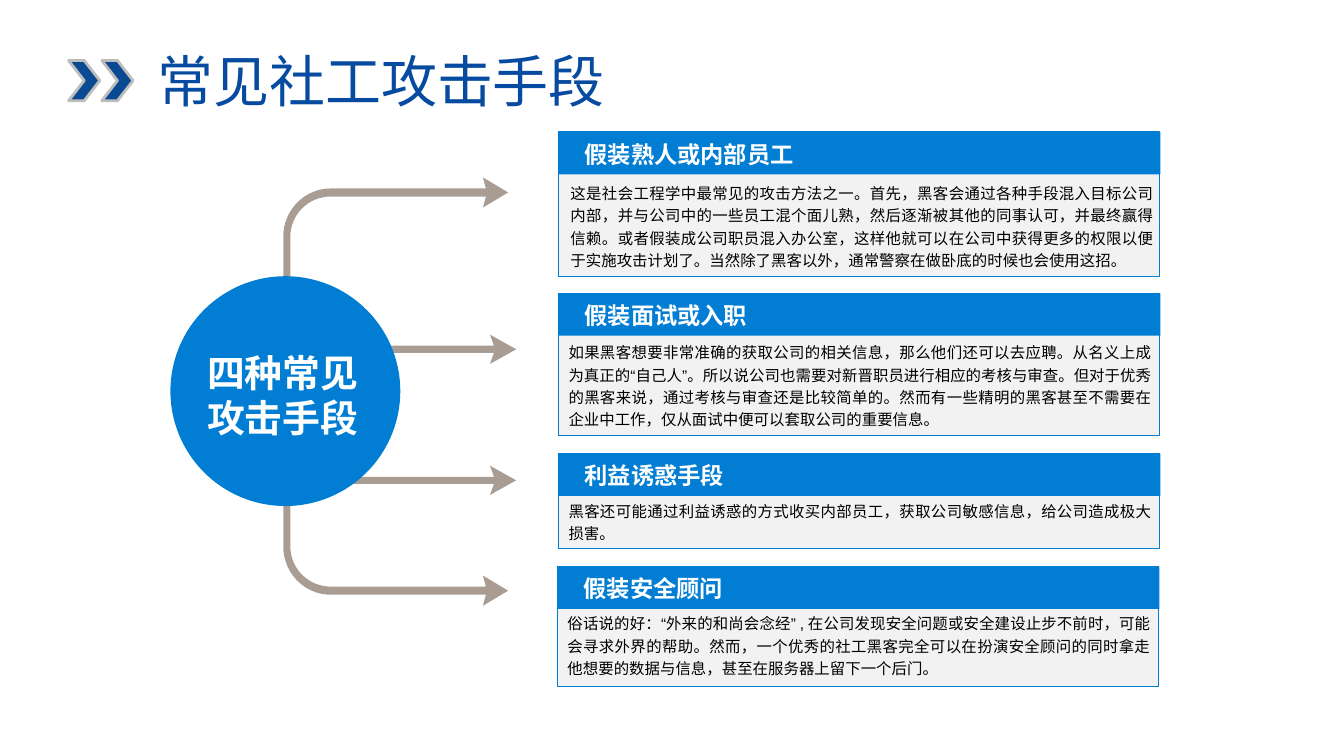
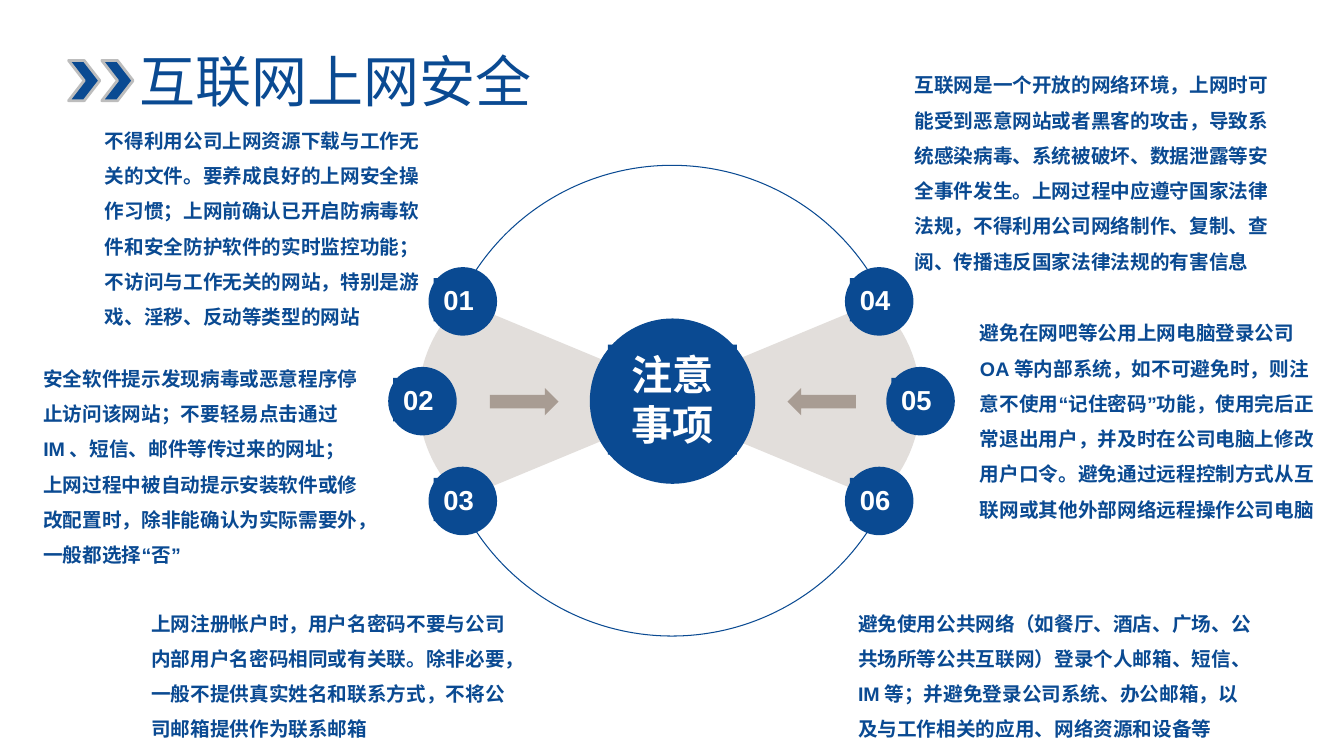
from math import asin, cos, pi, sin

from lxml import etree
from pptx import Presentation
from pptx.dml.color import RGBColor
from pptx.enum.lang import MSO_LANGUAGE_ID as LANG
from pptx.enum.shapes import MSO_SHAPE as SHAPE
from pptx.enum.text import MSO_ANCHOR as ANCHOR, PP_ALIGN as ALIGN
from pptx.oxml.ns import qn
from pptx.util import Inches, Pt

WHITE = RGBColor(0xFF, 0xFF, 0xFF)
BLACK = RGBColor(0, 0, 0)
NAVY = RGBColor(0x0A, 0x4A, 0x92)
TITLE_BLUE = RGBColor(0x07, 0x4B, 0xA0)
BLUE = RGBColor(0x01, 0x7E, 0xD3)
PALE = RGBColor(0xF2, 0xF2, 0xF2)
TAUPE = RGBColor(0xA8, 0x9C, 0x93)
SAND = RGBColor(0xE2, 0xDE, 0xDB)
SILVER = RGBColor(0xBD, 0xBD, 0xBD)
FONT = "Arial"


def draw(s, form, at=None, fill=None, line=None, width=0.75):
    """Add a preset shape at a box, or an outline from a list of points."""
    if isinstance(form, list):
        points = [(Inches(x), Inches(y)) for x, y in form]
        builder = s.shapes.build_freeform(*points[0])
        builder.add_line_segments(points[1:], close=True)
        sp = builder.convert_to_shape()
    else:
        sp = s.shapes.add_shape(form, *map(Inches, at))
    sp.shadow.inherit = False
    for part, color in ((sp.fill, fill), (sp.line.fill, line)):
        if color is None:
            part.background()
        else:
            part.solid()
            part.fore_color.rgb = color
    if line is not None:
        sp.line.width = Pt(width)


def write(s, at, text, size, color, bold=False, fill=None, margin=None, frame=None, para=None):
    """Add a text box; frame and para are dicts of format values."""
    sp = s.shapes.add_textbox(*map(Inches, at))
    if fill is not None:
        sp.fill.solid()
        sp.fill.fore_color.rgb = fill
    tf = sp.text_frame
    frame = {"word_wrap": True, **(frame or {})}
    if margin is not None:
        for side in ("left", "top", "right", "bottom"):
            frame["margin_" + side] = Inches(margin)
    p = tf.paragraphs[0]
    r = p.add_run()
    r.text = text
    font = {"name": FONT, "size": Pt(size), "bold": bold, "language_id": LANG.SIMPLIFIED_CHINESE}
    for target, values in ((tf, frame), (p, para or {}), (r.font, font)):
        for name, value in values.items():
            setattr(target, name, value)
    r.font.color.rgb = color
    etree.SubElement(r.font._element, qn("a:ea"), typeface=FONT)


prs = Presentation()
prs.slide_width, prs.slide_height = Inches(13.33), Inches(7.5)
CENTER = {"alignment": ALIGN.CENTER}

# Shared background, title and double chevron
slides = []
for title, left, width, color in (
    ("常见社工攻击手段", 1.01, 5.54, TITLE_BLUE),
    ("互联网上网安全", 0.31, 6.03, NAVY),
):
    s = prs.slides.add_slide(prs.slide_layouts[6])
    s.background.fill.solid()
    s.background.fill.fore_color.rgb = WHITE
    write(s, (left, 0.37, width, 0.84), title, 40, color,
          frame={"vertical_anchor": ANCHOR.MIDDLE}, para=CENTER)
    for x in (0.68, 1.01):
        draw(s, SHAPE.CHEVRON, (x, 0.6, 0.31, 0.4), NAVY, SILVER, 2)
    slides.append(s)
attacks, advice = slides

# Slide 1: bent arrows, mirrored above and below the hub
STEPS = 16
HUB_Y = 3.885
turn = [pi / 2 * i / STEPS for i in range(STEPS + 1)]
outer = [(3.28 - 0.47 * cos(a), 2.35 - 0.48 * sin(a)) for a in turn]
inner = [(3.28 - 0.4 * cos(a), 2.35 - 0.4 * sin(a)) for a in reversed(turn)]
head = [(4.82, 1.87), (4.79, 1.76), (5.04, 1.91), (4.79, 2.06), (4.82, 1.95)]
bent = [(2.81, 3.57)] + outer + head + inner + [(2.88, 3.57)]
draw(attacks, bent, fill=TAUPE)
draw(attacks, [(x, 2 * HUB_Y - y) for x, y in bent], fill=TAUPE)

# Straight arrows
for y in (3.465, 4.765):
    draw(attacks, [(2.88, y - 0.035), (4.9, y - 0.035), (4.86, y - 0.145), (5.12, y),
                   (4.86, y + 0.145), (4.9, y + 0.035), (2.88, y + 0.035)], fill=TAUPE)

# Hub
draw(attacks, SHAPE.OVAL, (1.69, 2.74, 2.28, 2.28), BLUE)
write(attacks, (1.94, 3.42, 1.73, 1.01), "四种常见攻击手段", 27, WHITE, True, BLUE, para=CENTER)

# Cards: left, top, height, body left, body top, heading, body
cards = (
    (5.54, 1.31, 1.43, 5.56, 1.74, "假装熟人或内部员工",
     "这是社会工程学中最常见的攻击方法之一。首先，黑客会通过各种手段混入目标公司内部，"
     "并与公司中的一些员工混个面儿熟，然后逐渐被其他的同事认可，并最终赢得信赖。"
     "或者假装成公司职员混入办公室，这样他就可以在公司中获得更多的权限以便于实施攻击计划了。"
     "当然除了黑客以外，通常警察在做卧底的时候也会使用这招。"),
    (5.54, 2.91, 1.41, 5.54, 3.32, "假装面试或入职",
     "如果黑客想要非常准确的获取公司的相关信息，那么他们还可以去应聘。"
     "从名义上成为真正的“自己人”。所以说公司也需要对新晋职员进行相应的考核与审查。"
     "但对于优秀的黑客来说，通过考核与审查还是比较简单的。"
     "然而有一些精明的黑客甚至不需要在企业中工作，仅从面试中便可以套取公司的重要信息。"),
    (5.54, 4.5, 0.94, 5.54, 4.89, "利益诱惑手段",
     "黑客还可能通过利益诱惑的方式收买内部员工，获取公司敏感信息，给公司造成极大损害。"),
    (5.53, 5.62, 1.19, 5.53, 6.01, "假装安全顾问",
     "俗话说的好：“外来的和尚会念经”,在公司发现安全问题或安全建设止步不前时，"
     "可能会寻求外界的帮助。然而，一个优秀的社工黑客完全可以在扮演安全顾问的同时"
     "拿走他想要的数据与信息，甚至在服务器上留下一个后门。"),
)
for x, y, h, body_x, body_y, heading, body in cards:
    draw(attacks, SHAPE.RECTANGLE, (x, y, 5.96, h), PALE, BLUE)
    draw(attacks, SHAPE.RECTANGLE, (x, y, 5.97, 0.42), BLUE)
    write(attacks, (x + 0.16, y + 0.03, 4.59, 0.38), heading, 16.6, WHITE, True)
    write(attacks, (body_x, body_y, 5.98, y + h - body_y), body, 11, BLACK,
          para={"alignment": ALIGN.JUSTIFY, "line_spacing": Pt(15.9)})

# Slide 2: ring with two mirrored fans
draw(advice, SHAPE.OVAL, (4.33, 1.64, 4.67, 4.67), line=NAVY)
RADIUS, FAN_X, FAN_Y = 1.33, 7.8, 3.97
half = asin(0.98 / RADIUS)
sweep = [half * (i / STEPS - 1) for i in range(2 * STEPS + 1)]
fan = [(6.34, FAN_Y)] + [(FAN_X + RADIUS * cos(a), FAN_Y + RADIUS * sin(a)) for a in sweep]
draw(advice, fan, fill=SAND)
draw(advice, [(13.28 - x, y) for x, y in fan], fill=SAND)

# Hub and arrows pointing to it
draw(advice, SHAPE.OVAL, (5.85, 3.16, 1.64, 1.64), NAVY)
write(advice, (6.03, 3.42, 1.28, 1.09), "注意事项", 29.4, WHITE, True, NAVY, para=CENTER)
draw(advice, SHAPE.RIGHT_ARROW, (4.86, 3.85, 0.68, 0.27), TAUPE)
draw(advice, SHAPE.LEFT_ARROW, (7.81, 3.85, 0.68, 0.27), TAUPE)

# Numbered discs, three on each side
for i, x in enumerate((4.25, 3.85, 4.25, 8.38, 8.79, 8.38)):
    y = 2.65 + 0.99 * (i % 3)
    draw(advice, SHAPE.OVAL, (x, y, 0.68, 0.68), NAVY)
    write(advice, (x + 0.05, y + 0.11, 0.51, 0.43), f"{i + 1:02}", 19.6, WHITE, True, NAVY,
          frame={"word_wrap": False})

# Advice texts: left, top, width, height, text
notes = (
    (1.04, 1.16, 3.21, 2.08,
     "不得利用公司上网资源下载与工作无关的文件。要养成良好的上网安全操作习惯；"
     "上网前确认已开启防病毒软件和安全防护软件的实时监控功能；"
     "不访问与工作无关的网站，特别是游戏、淫秽、反动等类型的网站"),
    (0.43, 3.52, 3.16, 2.08,
     "安全软件提示发现病毒或恶意程序停止访问该网站；不要轻易点击通过IM、短信、邮件等传过来的网址；"
     "上网过程中被自动提示安装软件或修改配置时，除非能确认为实际需要外，一般都选择“否”"),
    (1.5, 5.95, 3.7, 1.41,
     "上网注册帐户时，用户名密码不要与公司内部用户名密码相同或有关联。"
     "除非必要，一般不提供真实姓名和联系方式，不将公司邮箱提供作为联系邮箱"),
    (9.07, 0.61, 3.53, 2.08,
     "互联网是一个开放的网络环境，上网时可能受到恶意网站或者黑客的攻击，"
     "导致系统感染病毒、系统被破坏、数据泄露等安全事件发生。"
     "上网过程中应遵守国家法律法规，不得利用公司网络制作、复制、查阅、传播违反国家法律法规的有害信息"),
    (9.72, 3.07, 3.43, 2.08,
     "避免在网吧等公用上网电脑登录公司OA等内部系统，如不可避免时，则注意不使用“记住密码”功能，"
     "使用完后正常退出用户，并及时在公司电脑上修改用户口令。"
     "避免通过远程控制方式从互联网或其他外部网络远程操作公司电脑"),
    (8.51, 5.95, 3.91, 1.37,
     "避免使用公共网络（如餐厅、酒店、广场、公共场所等公共互联网）登录个人邮箱、短信、IM等；"
     "并避免登录公司系统、办公邮箱，以及与工作相关的应用、网络资源和设备等"),
)
for *at, text in notes:
    write(advice, at, text, 14, NAVY, True, margin=0, para={"line_spacing": 1.5})

prs.save("out.pptx")
